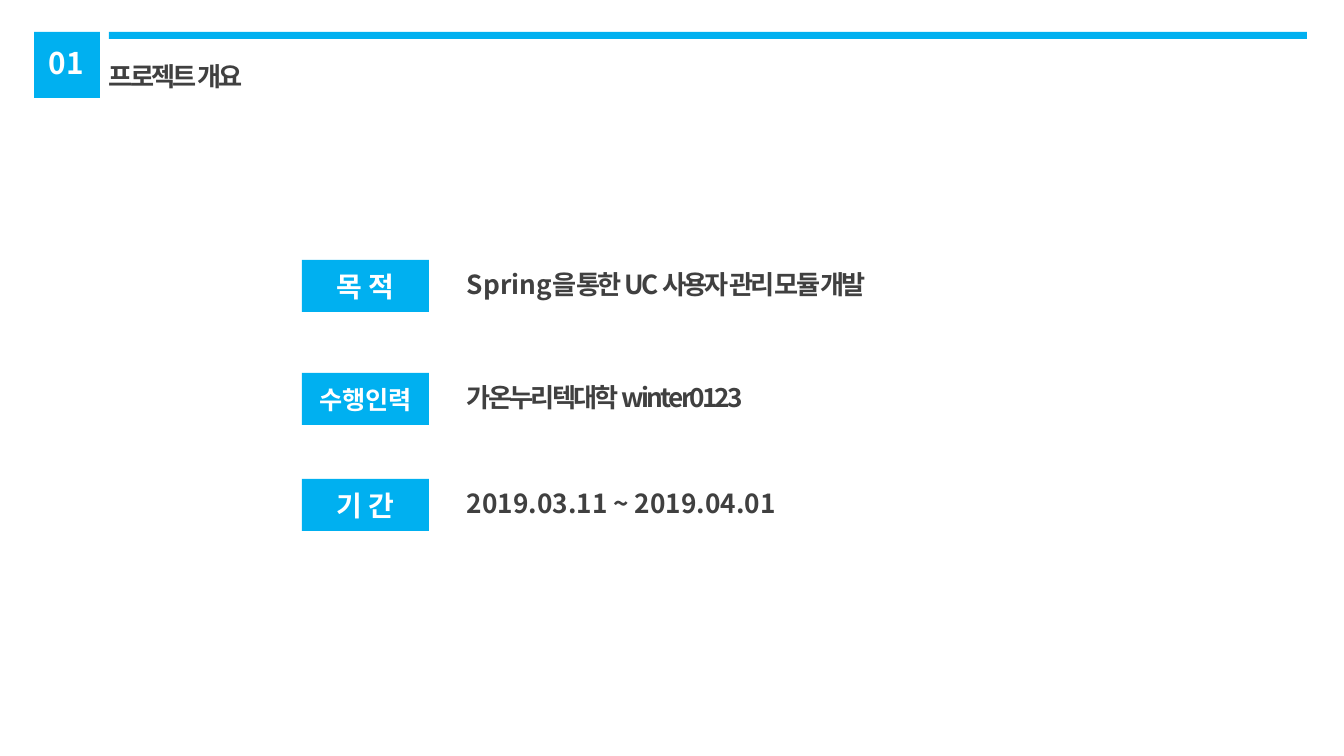
"""Build the project overview slide with its purpose, staff and period rows."""
from lxml.etree import SubElement
from pptx import Presentation
from pptx.dml.color import RGBColor
from pptx.enum.shapes import MSO_SHAPE
from pptx.enum.text import MSO_ANCHOR, MSO_AUTO_SIZE, PP_ALIGN
from pptx.oxml.ns import qn
from pptx.util import Pt

PX = 914400 / 100.8
FONT = "Noto Sans CJK KR"
BLUE, WHITE, GRAY = "00B0F0", "FFFFFF", "404040"


def add_box(x, y, w, h, fill=None):
    box = [round(v * PX) for v in (x, y, w, h)]
    if fill is None:
        sp = s.shapes.add_textbox(*box)
        sp.text_frame.word_wrap = True
        sp.text_frame.auto_size = MSO_AUTO_SIZE.SHAPE_TO_FIT_TEXT
        return sp
    sp = s.shapes.add_shape(MSO_SHAPE.RECTANGLE, *box)
    sp.shadow.inherit = False
    sp.fill.solid()
    sp.fill.fore_color.rgb = RGBColor.from_string(fill)
    sp.line.fill.background()
    return sp


def write(sp, runs, size, color, align=PP_ALIGN.LEFT):
    p = sp.text_frame.paragraphs[0]
    p.alignment = align
    for text, spacing in runs:
        r = p.add_run()
        r.text = text
        r.font.size = Pt(size)
        r.font.bold = True
        r.font.color.rgb = RGBColor.from_string(color)
        r.font.name = FONT
        rPr = r.font._element
        SubElement(rPr, qn("a:ea")).set("typeface", FONT)
        if spacing:
            rPr.set("spc", str(spacing * 100))


prs = Presentation()
prs.slide_width, prs.slide_height = round(1344 * PX), round(756 * PX)
s = prs.slides.add_slide(prs.slide_layouts[6])

add_box(34, 32, 66, 66, BLUE)
add_box(109, 32, 1198, 7, BLUE)
write(add_box(99, 55, 520, 42), [("프로젝트 개요", -2)], 18.7, GRAY)
write(add_box(19, 40, 95, 46), [("01", 0)], 21.3, WHITE, PP_ALIGN.CENTER)

rows = [
    (260, "목 적", 20, [("Spring", 0), ("을 통한 UC 사용자 관리 모듈 개발", -2)]),
    (373, "수행인력", 18, [("가온누리텍대학 winter0123", -2)]),
    (479, "기 간", 20, [("2019.03.11 ~ 2019.04.01", 0)]),
]
for y, label, size, runs in rows:
    tag = add_box(302, y, 127, 52, BLUE)
    tag.text_frame.vertical_anchor = MSO_ANCHOR.MIDDLE
    write(tag, [(label, 0)], size, WHITE, PP_ALIGN.CENTER)
    write(add_box(457, y + 3, 520, 42), runs, 18.7, GRAY)

prs.save("out.pptx")
